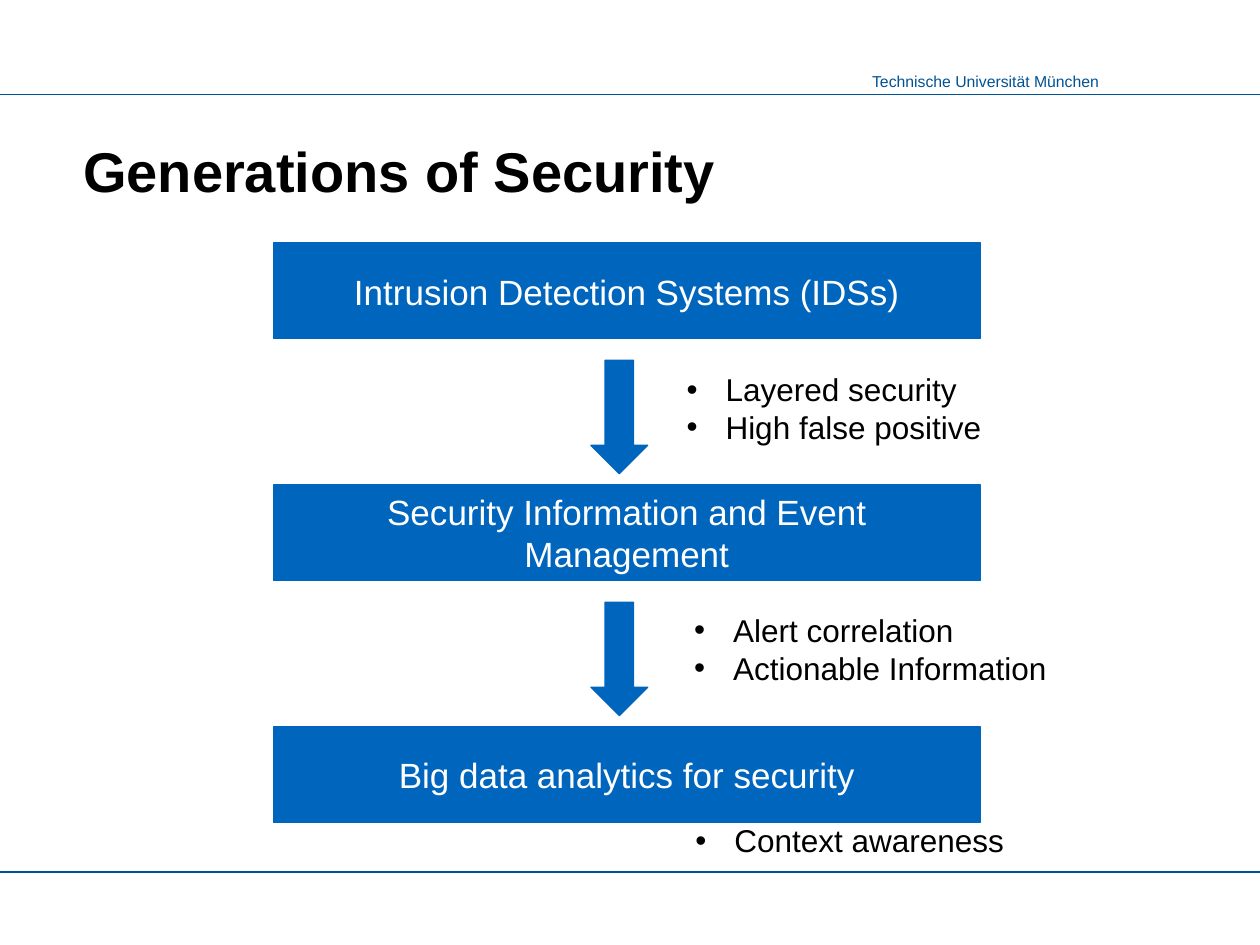
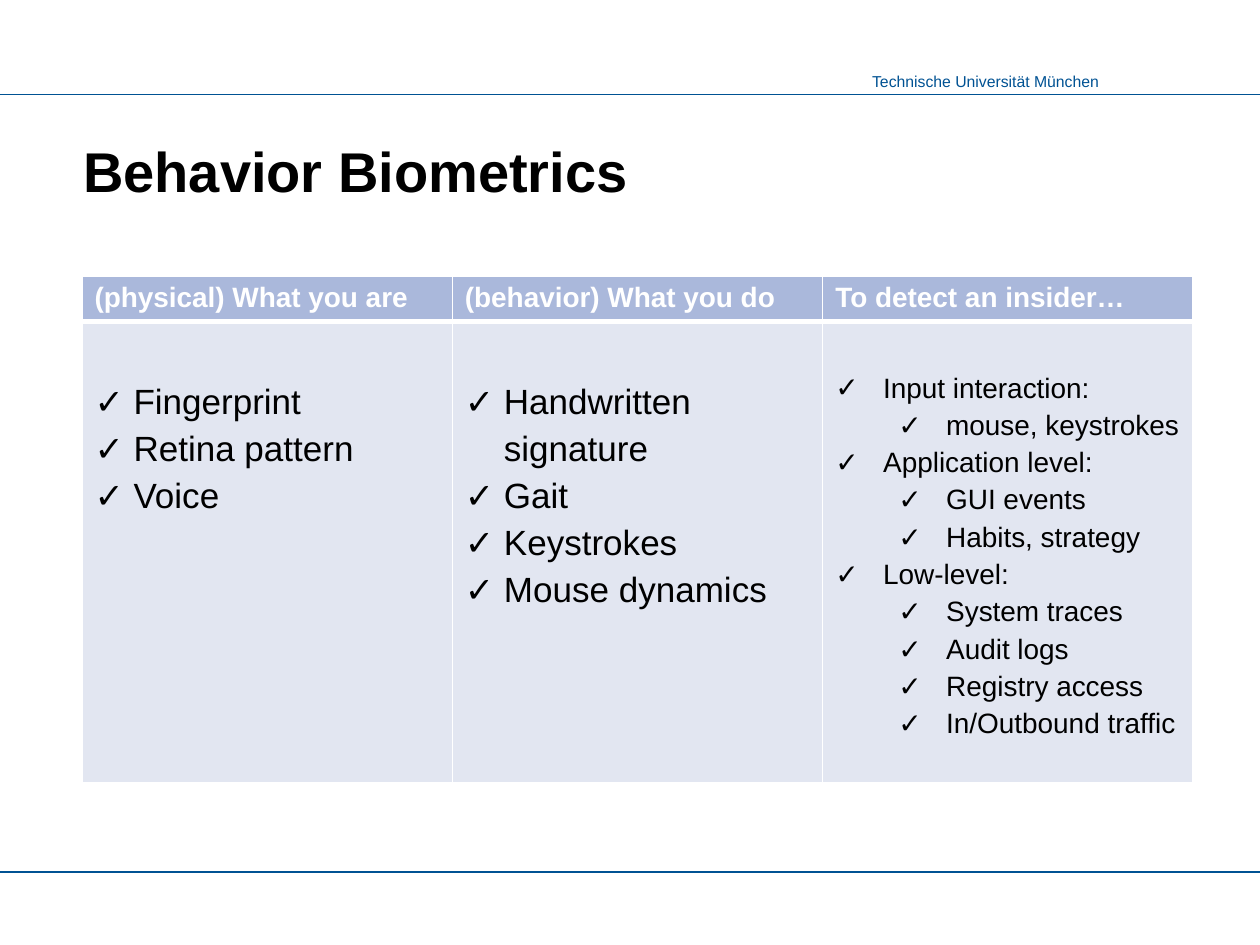
from lxml import etree
from pptx import Presentation
from pptx.dml.color import RGBColor
from pptx.enum.shapes import MSO_CONNECTOR, MSO_SHAPE
from pptx.enum.text import MSO_ANCHOR, PP_ALIGN
from pptx.oxml.ns import qn
from pptx.util import Inches, Pt

LEFT, CENTER, RIGHT = PP_ALIGN.LEFT, PP_ALIGN.CENTER, PP_ALIGN.RIGHT
BOTTOM, MIDDLE = MSO_ANCHOR.BOTTOM, MSO_ANCHOR.MIDDLE
RECTANGLE, DOWN_ARROW = MSO_SHAPE.RECTANGLE, MSO_SHAPE.DOWN_ARROW
STRAIGHT = MSO_CONNECTOR.STRAIGHT

FONT = "Arial"
DARK_BLUE, BLUE = "005293", "0065BD"
HEADER_FILL, BODY_FILL = "AAB8DB", "E2E6F1"
BLACK, WHITE = "000000", "FFFFFF"


def format_text(paragraph, size, color, bold=False, align=LEFT):
    paragraph.alignment = align
    for run in paragraph.runs:
        run.font.name = FONT
        run.font.size = Pt(size)
        run.font.bold = bold
        run.font.color.rgb = RGBColor.from_string(color)


def fill_list(text_frame, items, mark, size, hanging, spacing=1.0):
    """Write (level, text) items as a bulleted list; each level steps in by half an inch."""
    text_frame.text = "\n".join(text for level, text in items)
    for paragraph, (level, text) in zip(text_frame.paragraphs, items):
        paragraph.level = level
        properties = paragraph._p.get_or_add_pPr()
        properties.set("marL", str(Inches(hanging + 0.5 * level)))
        properties.set("indent", str(-Inches(hanging)))
        etree.SubElement(properties, qn("a:buFont"), typeface=FONT)
        etree.SubElement(properties, qn("a:buChar"), char=mark)
        paragraph.line_spacing = spacing
        format_text(paragraph, size, BLACK)


presentation = Presentation()
presentation.slide_width, presentation.slide_height = Inches(10), Inches(7.5)
title_layout = presentation.slide_layouts[5]

# Title style
layout_title = title_layout.placeholders[0]
layout_title.left, layout_title.top = Inches(0.56), Inches(1)
layout_title.width, layout_title.height = Inches(8.89), Inches(0.67)
layout_title.text_frame.vertical_anchor = BOTTOM

slides = []
for title in ("Generations of Security", "Behavior Biometrics"):
    slide = presentation.slides.add_slide(title_layout)
    slide.shapes.title.text_frame.text = title
    format_text(slide.shapes.title.text_frame.paragraphs[0], 32, BLACK, bold=True)
    slides.append(slide)
generations_slide, biometrics_slide = slides

# University name and rules, moved to the master
university = generations_slide.shapes.add_textbox(
    Inches(6.81), Inches(0.52), Inches(2.01), Inches(0.25))
university.text_frame.word_wrap = False
university.text_frame.text = "Technische Universität München"
format_text(university.text_frame.paragraphs[0], 9, DARK_BLUE, align=RIGHT)
master_shapes = [university]
for top in (0.75, 6.92):
    rule = generations_slide.shapes.add_connector(
        STRAIGHT, 0, Inches(top), presentation.slide_width, Inches(top))
    rule.line.color.rgb = RGBColor.from_string(DARK_BLUE)
    rule.line.width = Pt(0.75)
    etree.SubElement(rule.element.spPr, qn("a:effectLst"))
    master_shapes.append(rule)
for shape in master_shapes:
    presentation.slide_master.shapes.element.append(shape.element)

# Slide 1: three generations, an arrow between each pair
generations = ["Intrusion Detection Systems (IDSs)",
               "Security Information and Event Management",
               "Big data analytics for security"]
FIRST_TOP, STEP = 1.93, 1.92
blocks = [(RECTANGLE, 2.17, FIRST_TOP + STEP * row, 5.61, 0.76, text)
          for row, text in enumerate(generations)]
blocks += [(DOWN_ARROW, 4.69, FIRST_TOP + 0.93 + STEP * row, 0.45, 0.9, "")
           for row in range(len(generations) - 1)]
for kind, left, top, width, height, text in blocks:
    block = generations_slide.shapes.add_shape(
        kind, Inches(left), Inches(top), Inches(width), Inches(height))
    block.shadow.inherit = False
    block.fill.solid()
    block.fill.fore_color.rgb = RGBColor.from_string(BLUE)
    block.line.color.rgb = RGBColor.from_string(BLUE)
    block.line.width = Pt(0.75)
    if text:
        block.text_frame.text = text
        block.text_frame.vertical_anchor = MIDDLE
        format_text(block.text_frame.paragraphs[0], 20, WHITE, align=CENTER)

remarks = [
    (5.35, 2.89, 2.65, 0.71, ["Layered security", "High false positive"]),
    (5.41, 4.8, 3.18, 0.71, ["Alert correlation", "Actionable Information"]),
    (5.42, 6.47, 3.18, 0.4, ["Context awareness"]),
]
for left, top, width, height, lines in remarks:
    remark = generations_slide.shapes.add_textbox(
        Inches(left), Inches(top), Inches(width), Inches(height))
    remark.text_frame.word_wrap = True
    fill_list(remark.text_frame, [(0, line) for line in lines], "•", 18, 0.31)

# Slide 2: table of biometrics; columns are heading, text size, hanging indent, top margin, items
columns = [
    ("(physical) What you are", 20, 0.31, 0.43,
     [(0, "Fingerprint"), (0, "Retina pattern"), (0, "Voice")]),
    ("(behavior) What you do", 20, 0.31, 0.43,
     [(0, "Handwritten signature"), (0, "Gait"), (0, "Keystrokes"), (0, "Mouse dynamics")]),
    ("To detect an insider…", 16, 0.38, 0.36,
     [(0, "Input interaction:"), (1, "mouse, keystrokes"),
      (0, "Application level:"), (1, "GUI events"), (1, "Habits, strategy"),
      (0, "Low-level:"), (1, "System traces"), (1, "Audit logs"),
      (1, "Registry access"), (1, "In/Outbound traffic")]),
]
table = biometrics_slide.shapes.add_table(
    2, len(columns), Inches(0.65), Inches(2.19), Inches(8.82), Inches(4.02)).table
table.horz_banding = False
table.rows[0].height, table.rows[1].height = Inches(0.36), Inches(3.66)

for index, (heading, size, hanging, top_margin, items) in enumerate(columns):
    table.columns[index].width = Inches(2.94)
    header_cell, body_cell = table.cell(0, index), table.cell(1, index)
    header_cell.text_frame.text = heading
    format_text(header_cell.text_frame.paragraphs[0], 16, WHITE, bold=True)
    body_cell.margin_top = Inches(top_margin)
    fill_list(body_cell.text_frame, items, "✓", size, hanging, spacing=1.2)

    for cell, fill, thick_side in ((header_cell, HEADER_FILL, "lnB"),
                                   (body_cell, BODY_FILL, "lnT")):
        cell_properties = cell._tc.get_or_add_tcPr()
        for side in ("lnL", "lnR", "lnT", "lnB"):
            width = Pt(3 if side == thick_side else 1)
            border = etree.SubElement(cell_properties, qn(f"a:{side}"), w=str(width))
            border_fill = etree.SubElement(border, qn("a:solidFill"))
            etree.SubElement(border_fill, qn("a:srgbClr"), val=WHITE)
        cell.fill.solid()
        cell.fill.fore_color.rgb = RGBColor.from_string(fill)

presentation.save("out.pptx")
